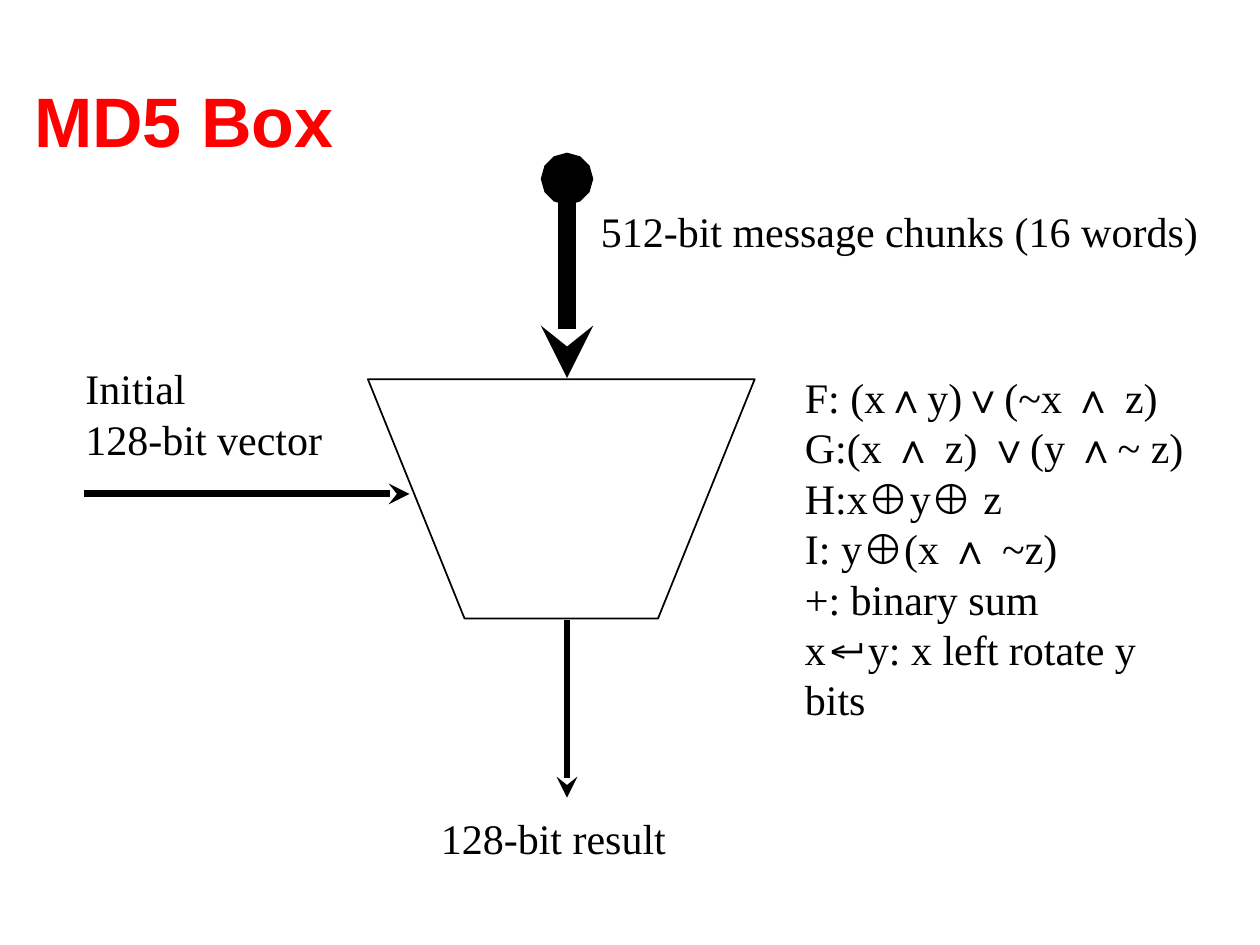
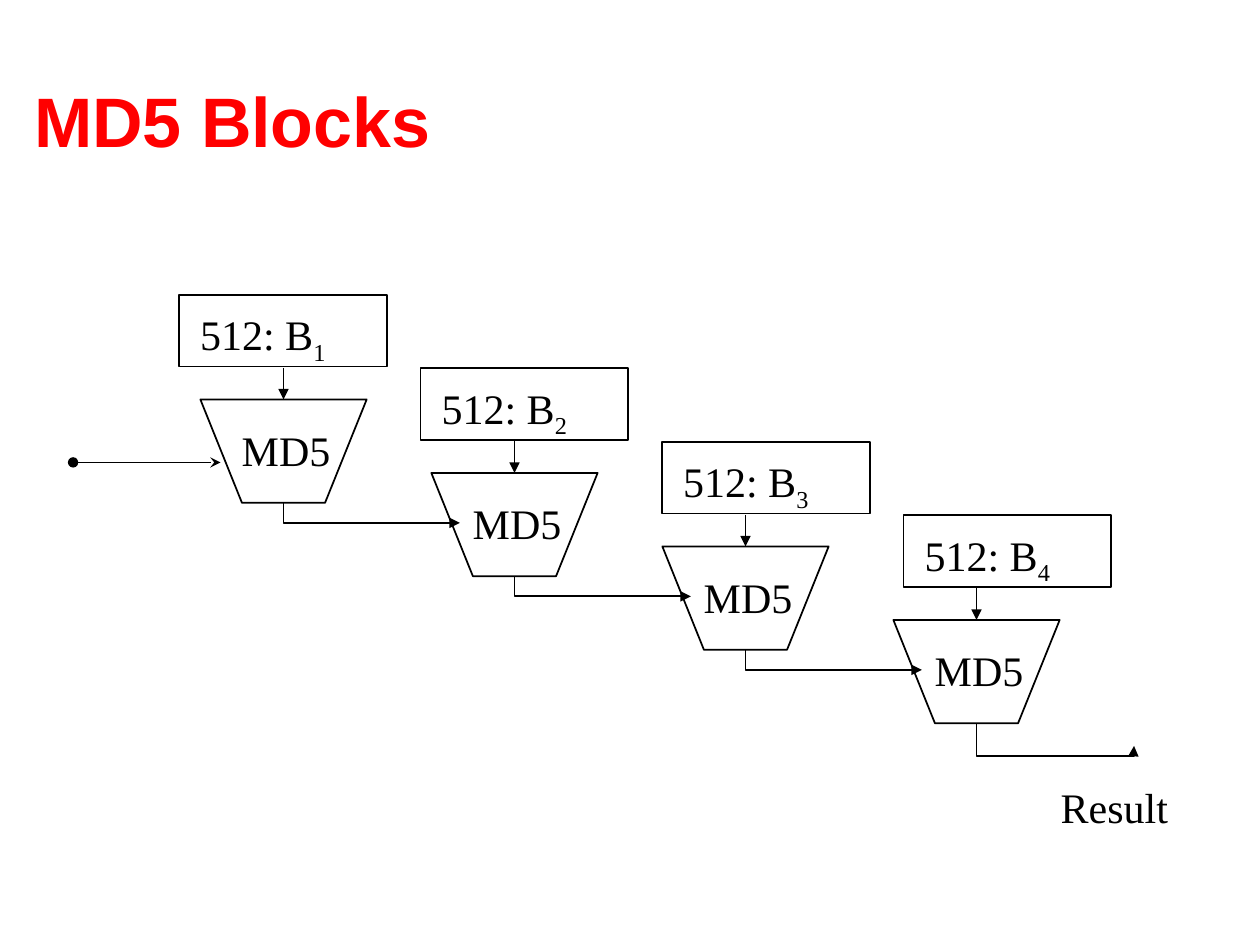
from dataclasses import dataclass
from itertools import groupby

from lxml import etree
from pptx import Presentation
from pptx.dml.color import RGBColor
from pptx.enum.shapes import MSO_CONNECTOR, MSO_SHAPE
from pptx.enum.text import MSO_ANCHOR, MSO_AUTO_SIZE, PP_ALIGN
from pptx.oxml.ns import qn
from pptx.util import Inches, Pt

STRAIGHT = MSO_CONNECTOR.STRAIGHT
ELBOW = MSO_CONNECTOR.ELBOW
RECTANGLE = MSO_SHAPE.RECTANGLE
LEFT, MIDDLE = PP_ALIGN.LEFT, MSO_ANCHOR.MIDDLE
FIT_SHAPE, NO_FIT = MSO_AUTO_SIZE.SHAPE_TO_FIT_TEXT, MSO_AUTO_SIZE.NONE

COLORS = {"title": "FF0000", "ink": "000000"}
TITLE_FORMAT = {"name": "Arial", "size": Pt(40), "bold": True}
BODY_FORMAT = {"name": "Times New Roman", "size": Pt(24)}
SYMBOL_FORMAT = {**BODY_FORMAT, "name": "Arial"}
SYMBOLS = "∧∨⊕↵"


@dataclass
class Label:
    lines: list[str]
    left: float
    top: float
    width: float
    height: float = 0.5
    subscript: str = ""
    wrap: bool = False


@dataclass
class Arrow:
    start: tuple[float, float]
    end: tuple[float, float]
    weight: float = 1
    tail: str = "triangle"
    head: str = ""


@dataclass
class Trapezoid:
    left: float
    top: float
    width: float
    height: float


# Shared drawing functions
def format_font(font, values: dict, color: str = "ink") -> None:
    for name, value in values.items():
        setattr(font, name, value)
    font.color.rgb = RGBColor.from_string(COLORS[color])


def add_titled_slide(presentation, text: str):
    slide = presentation.slides.add_slide(presentation.slide_layouts[5])
    title = slide.shapes.title
    title.left, title.top = Inches(0.17), Inches(0.32)
    title.width, title.height = Inches(9.58), Inches(1.25)
    frame = title.text_frame
    frame.text = text
    frame.auto_size = NO_FIT
    frame.vertical_anchor = MIDDLE
    paragraph = frame.paragraphs[0]
    paragraph.alignment = LEFT
    format_font(paragraph.runs[0].font, TITLE_FORMAT, "title")
    return slide


def add_label(slide, label: Label) -> None:
    box = slide.shapes.add_textbox(Inches(label.left), Inches(label.top),
                                   Inches(label.width), Inches(label.height))
    frame = box.text_frame
    frame.word_wrap = label.wrap
    frame.auto_size = FIT_SHAPE
    for index, line in enumerate(label.lines):
        paragraph = frame.add_paragraph() if index else frame.paragraphs[0]
        for is_symbol, letters in groupby(line, lambda letter: letter in SYMBOLS):
            run = paragraph.add_run()
            run.text = "".join(letters)
            format_font(run.font, SYMBOL_FORMAT if is_symbol else BODY_FORMAT)
    if label.subscript:
        run = paragraph.add_run()
        run.text = label.subscript
        format_font(run.font, BODY_FORMAT)
        run._r.get_or_add_rPr().set("baseline", "-25000")


def outline(shape) -> None:
    shape.shadow.inherit = False
    shape.fill.background()
    shape.line.color.rgb = RGBColor.from_string(COLORS["ink"])
    shape.line.width = Pt(1)


def add_trapezoid(slide, box: Trapezoid) -> None:
    right, bottom = box.left + box.width, box.top + box.height
    inset = box.width / 4
    corners = [(right, box.top), (right - inset, bottom), (box.left + inset, bottom)]
    builder = slide.shapes.build_freeform(Inches(box.left), Inches(box.top))
    builder.add_line_segments([(Inches(x), Inches(y)) for x, y in corners], close=True)
    outline(builder.convert_to_shape())


def style_connector(connector, arrow: Arrow) -> None:
    line = connector.line
    line.color.rgb = RGBColor.from_string(COLORS["ink"])
    line.width = Pt(arrow.weight)
    properties = line._get_or_add_ln()
    for tag, kind in (("a:headEnd", arrow.head), ("a:tailEnd", arrow.tail)):
        if kind:
            etree.SubElement(properties, qn(tag), type=kind)
    etree.SubElement(connector.element.spPr, qn("a:effectLst"))


def add_arrow(slide, arrow: Arrow) -> None:
    points = [Inches(value) for value in (*arrow.start, *arrow.end)]
    style_connector(slide.shapes.add_connector(STRAIGHT, *points), arrow)


def add_elbow(slide, arrow: Arrow, overshoot: int = 0) -> None:
    """Go down, then right; with an overshoot, turn up again at the end."""
    (x1, y1), (x2, y2) = arrow.start, arrow.end
    center_x, center_y = (x1 + x2) / 2, (y1 + y2) / 2
    half_width, half_height = (y2 - y1) / 2, (x2 - x1) / 2
    connector = slide.shapes.add_connector(
        ELBOW, Inches(center_x - half_width), Inches(center_y - half_height),
        Inches(center_x + half_width), Inches(center_y + half_height))
    properties = connector.element.spPr
    transform = properties.find(qn("a:xfrm"))
    transform.set("rot", "16200000")
    transform.set("flipH", "1")
    geometry = properties.find(qn("a:prstGeom"))
    if overshoot:
        adjustments = geometry.find(qn("a:avLst"))
        if adjustments is None:
            adjustments = etree.SubElement(geometry, qn("a:avLst"))
        etree.SubElement(adjustments, qn("a:gd"), name="adj1", fmla=f"val {overshoot}")
    else:
        geometry.set("prst", "bentConnector2")
    style_connector(connector, arrow)


# Slide 1: one MD5 step with its inputs and output
def build_box_slide(presentation) -> None:
    slide = add_titled_slide(presentation, "MD5 Box")
    add_trapezoid(slide, Trapezoid(2.92, 3.01, 3.07, 1.9))
    for arrow in (
        Arrow((4.5, 1.42), (4.5, 3), 10, "stealth", "oval"),
        Arrow((0.67, 3.92), (3.25, 3.92), 4, "stealth"),
        Arrow((4.5, 4.92), (4.5, 6.33), 4, "stealth"),
    ):
        add_arrow(slide, arrow)
    formulas = [
        "F: (x∧y)∨(~x ∧ z)",
        "G:(x ∧ z) ∨(y ∧~ z)",
        "H:x⊕y⊕ z",
        "I: y⊕(x ∧ ~z)",
        "+: binary sum",
        "x↵y: x left rotate y bits",
    ]
    for label in (
        Label(["Initial", "128-bit vector"], 0.58, 2.83, 2.08, 0.9),
        Label(["512-bit message chunks (16 words)"], 4.67, 1.58, 4.94),
        Label(["128-bit result"], 3.4, 6.4, 1.99),
        Label(formulas, 6.29, 2.9, 3.33, 2.5, wrap=True),
    ):
        add_label(slide, label)


# Slide 2: four chained MD5 steps
def build_blocks_slide(presentation) -> None:
    slide = add_titled_slide(presentation, "MD5 Blocks")
    count = 4
    step_x, step_y, chunk_step = 5.5 / 3, 1.75 / 3, 5.75 / 3
    add_arrow(slide, Arrow((0.58, 3.67), (1.75, 3.67), tail="stealth", head="oval"))
    for index in range(count):
        left, top = 1.59 + index * step_x, 3.17 + index * step_y
        center, bottom = left + 0.66, top + 0.82
        chunk_left, chunk_top = 1.42 + index * chunk_step, 2.34 + index * step_y

        add_trapezoid(slide, Trapezoid(left, top, 1.32, 0.82))
        add_label(slide, Label(["MD5"], left + 0.23, top + 0.15, 0.91))
        outline(slide.shapes.add_shape(RECTANGLE, Inches(chunk_left), Inches(chunk_top),
                                       Inches(1.65), Inches(0.57)))
        add_label(slide, Label(["512: B"], chunk_left + 0.07, chunk_top + 0.06,
                               1.2, 0.56, subscript=str(index + 1)))
        add_arrow(slide, Arrow((center, top - 0.25), (center, top)))
        if index < count - 1:
            add_elbow(slide, Arrow((center, bottom), (center + 1.4, bottom + 0.16)))
        else:
            add_elbow(slide, Arrow((center, bottom), (9, bottom + 0.18)), 143500)
    add_label(slide, Label(["Result"], 8.32, 6.15, 1.05))


def main() -> None:
    presentation = Presentation()
    presentation.slide_width, presentation.slide_height = Inches(10), Inches(7.5)
    build_box_slide(presentation)
    build_blocks_slide(presentation)
    presentation.save("out.pptx")


if __name__ == "__main__":
    main()
